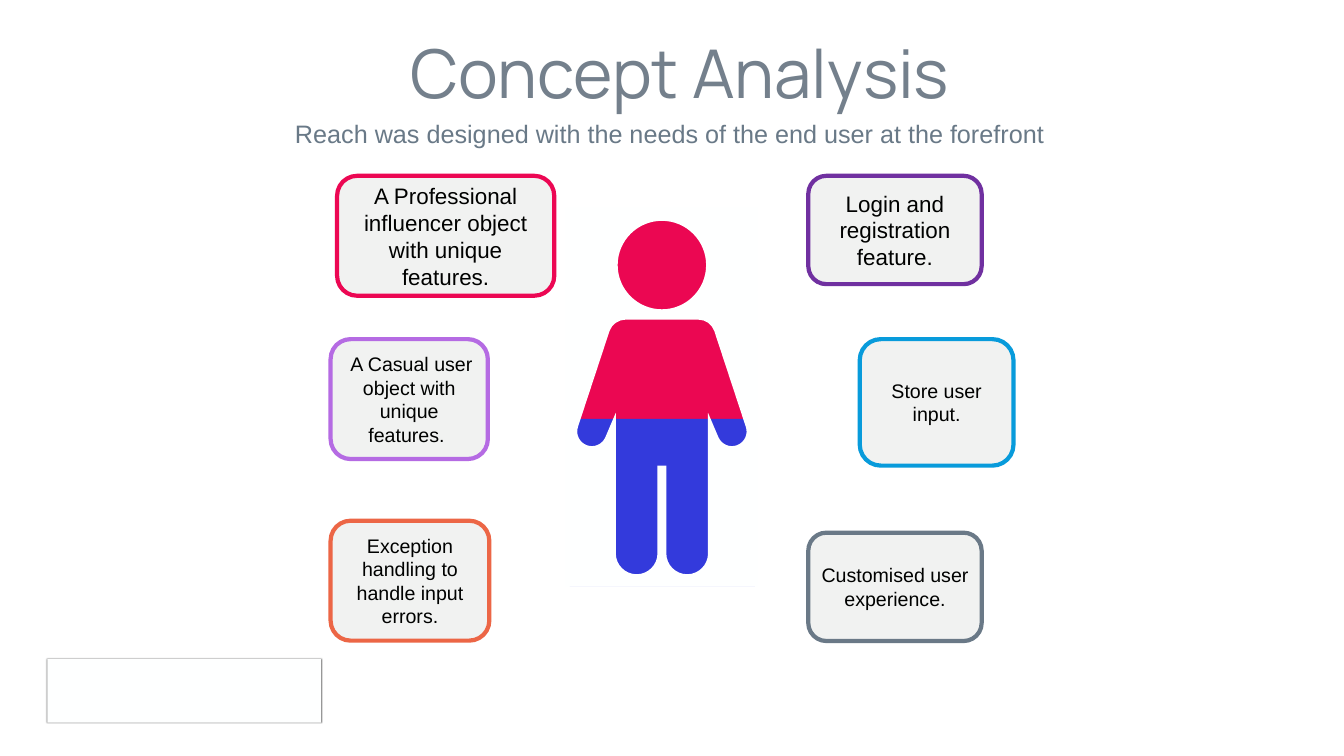
"""Build the Concept Analysis slide on a square grid of 100 columns."""
import math

import lxml.etree
import pptx
import pptx.dml.color
import pptx.enum.shapes
import pptx.enum.text
import pptx.oxml.ns
import pptx.util

WIDE, HIGH = pptx.util.Inches(26.67), pptx.util.Inches(15)
UNIT = WIDE / 100
KIND = pptx.enum.shapes.MSO_SHAPE
ALIGN = pptx.enum.text.PP_ALIGN
MIDDLE = pptx.enum.text.MSO_ANCHOR.MIDDLE
HUES = {
    "title": "74808C", "lead": "697987", "ink": "000100", "card": "F1F2F1",
    "paper": "FEFFFF", "top": "EB0752", "legs": "333ADC", "shade": "000000",
    "red": "EC0753", "lilac": "B56BE3", "orange": "EC6646",
    "purple": "7030A0", "blue": "089BDB", "slate": "6A7987",
}
CARDS = [
    (" A Casual user object with unique features. ", "lilac", 28, (24.6, 25.23, 11.7, 8.92)),
    ("A Professional influencer object with unique features.", "red", 32, (25.08, 13.08, 16.16, 8.92)),
    ("Login and registration feature.", "purple", 32, (60.14, 13.08, 12.9, 8.06)),
    ("Exception handling to handle input errors.", "orange", 28, (24.6, 38.74, 11.81, 8.92)),
    ("Store user input.", "blue", 28, (63.97, 25.23, 11.44, 9.41)),
    ("Customised user experience.", "slate", 28, (60.14, 39.63, 12.9, 8.06)),
]


def span(*cells):
    """Turn grid cells into lengths."""
    return [round(cell * UNIT) for cell in cells]


def tint(name):
    """Return the colour of that name."""
    return pptx.dml.color.RGBColor.from_string(HUES[name])


def paint(shape, fill, line=None):
    """Give a shape its fill and line, without a shadow."""
    shape.shadow.inherit = False
    shape.fill.solid()
    shape.fill.fore_color.rgb = tint(fill)
    if line:
        shape.line.color.rgb = tint(line)
        shape.line.width = pptx.util.Pt(6)
    else:
        shape.line.fill.background()


def block(shapes, kind, cells, fill, line=None):
    """Add a painted preset shape."""
    shape = shapes.add_shape(kind, *span(*cells))
    paint(shape, fill, line)
    return shape


def write(shape, text, size, hue, font="Arial", align=ALIGN.CENTER, **form):
    """Put one styled paragraph in a shape."""
    frame = shape.text_frame
    for name, value in {"word_wrap": True, **form}.items():
        setattr(frame, name, value)
    para = frame.paragraphs[0]
    para.alignment = align
    run = para.add_run()
    run.text = text
    for name, value in {"name": font, "size": pptx.util.Pt(size)}.items():
        setattr(run.font, name, value)
    run.font.color.rgb = tint(hue)


def card(shapes, text, hue, size, cells):
    """Add a rounded card with a coloured edge."""
    shape = block(shapes, KIND.FLOWCHART_ALTERNATE_PROCESS, cells, "card", hue)
    write(shape, text, size, "ink", vertical_anchor=MIDDLE)


def arc(x, y, size, start, end):
    """List the knots of a clockwise arc, with its handles marked True."""
    count = math.ceil((end - start) / 90)
    step = math.radians(end - start) / count
    pull = 4 / 3 * math.tan(step / 4)

    def knot(turn, lean):
        """Place a knot, or a handle that leans along the tangent."""
        across, down = math.cos(turn), math.sin(turn)
        return x + size * (across - lean * down), y + size * (down + lean * across), lean != 0

    turn = math.radians(start)
    knots = [knot(turn, 0)]
    for _ in range(count):
        after = turn + step
        knots += [knot(turn, pull), knot(after, -pull), knot(after, 0)]
        turn = after
    return knots


def mirror(half):
    """Close a right half with its reflection."""
    return half + [(-x, y, bent) for x, y, bent in reversed(half)]


def bend(shape, marks):
    """Join each pair of handles and the knot after it into a curve."""
    name = pptx.oxml.ns.qn
    lines = iter(list(shape._element.iter(name("a:lnTo"))))
    turns = iter(marks)
    for line, bent in zip(lines, turns):
        if bent:
            curve = lxml.etree.Element(name("a:cubicBezTo"))
            line.addprevious(curve)
            for part in (line, next(lines), next(lines)):
                curve.append(part[0])
                part.getparent().remove(part)
            next(turns), next(turns)


def person(shapes):
    """Add two colour bands seen through a person cut from paper."""
    group = shapes.add_group_shape().shapes
    block(group, KIND.RECTANGLE, (42.41, 15.67, 13.76, 15.6), "top")
    block(group, KIND.RECTANGLE, (42.41, 31.16, 13.76, 12.44), "legs")
    sheet = mirror([(7.14, 15.45, False), (7.14, 43.65, False)])
    head = arc(0, 19.72, 3.29, 0, 360)
    body = mirror(
        arc(2.7, 25.05, 1.27, -90, -20)
        + arc(5.21, 32.1, 1.09, -20, 158)
        + [(3.43, 30.71, False)]
        + arc(1.88, 41.17, 1.55, 0, 180)
        + [(0.33, 34.65, False)]
    )
    rings = (sheet, head, body)
    paths = [[span(49.25 + x, y) for x, y, _ in ring] for ring in rings]
    pen = group.build_freeform(*paths[0][0])
    for path in paths:
        if path is not paths[0]:
            pen.move_to(*path[0])
        pen.add_line_segments(path[1:], close=True)
    shape = pen.convert_to_shape()
    bend(shape, [bent for ring in rings for _, _, bent in ring[1:]])
    paint(shape, "paper")


def panel(shapes):
    """Add a blank panel with a soft shadow."""
    shape = block(shapes, KIND.RECTANGLE, (3.52, 49.04, 20.36, 4.72), "paper")
    name = pptx.oxml.ns.qn
    glow = shape._element.spPr.find(name("a:effectLst"))
    drop = lxml.etree.SubElement(glow, name("a:outerShdw"), blurRad="25400", dist="0", dir="0")
    hue = lxml.etree.SubElement(drop, name("a:srgbClr"), val=HUES["shade"])
    lxml.etree.SubElement(hue, name("a:alpha"), val="50000")


def main():
    """Build and save the slide."""
    deck = pptx.Presentation()
    for name, value in {"slide_width": WIDE, "slide_height": HIGH}.items():
        setattr(deck, name, value)
    shapes = deck.slides.add_slide(deck.slide_layouts[6]).shapes
    inset = pptx.util.Inches(0.04)
    edges = {"margin_" + side: inset for side in ("left", "top", "right", "bottom")}
    title = shapes.add_textbox(*span(30.37, 2.21, 53.43, 11.81))
    write(title, "Concept Analysis", 96, "title", "Manrope", ALIGN.LEFT, **edges)
    person(shapes)
    for item in CARDS:
        card(shapes, *item)
    panel(shapes)
    lead = shapes.add_textbox(*span(0.67, 8.62, 98.31, 2.66))
    write(lead, "Reach was designed with the needs of the end user at the forefront",
          36, "lead", auto_size=pptx.enum.text.MSO_AUTO_SIZE.SHAPE_TO_FIT_TEXT)
    deck.save("out.pptx")


if __name__ == "__main__":
    main()
